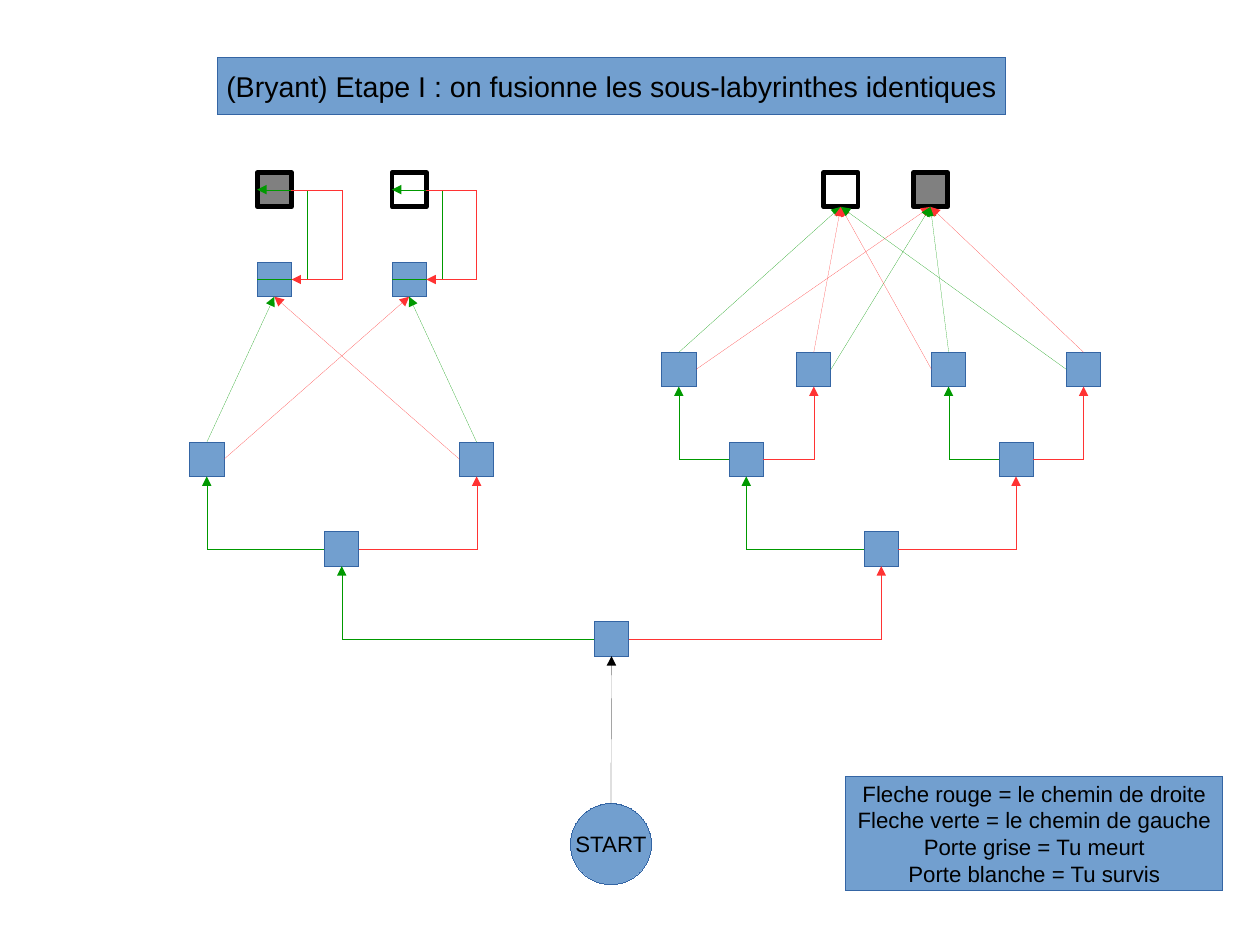
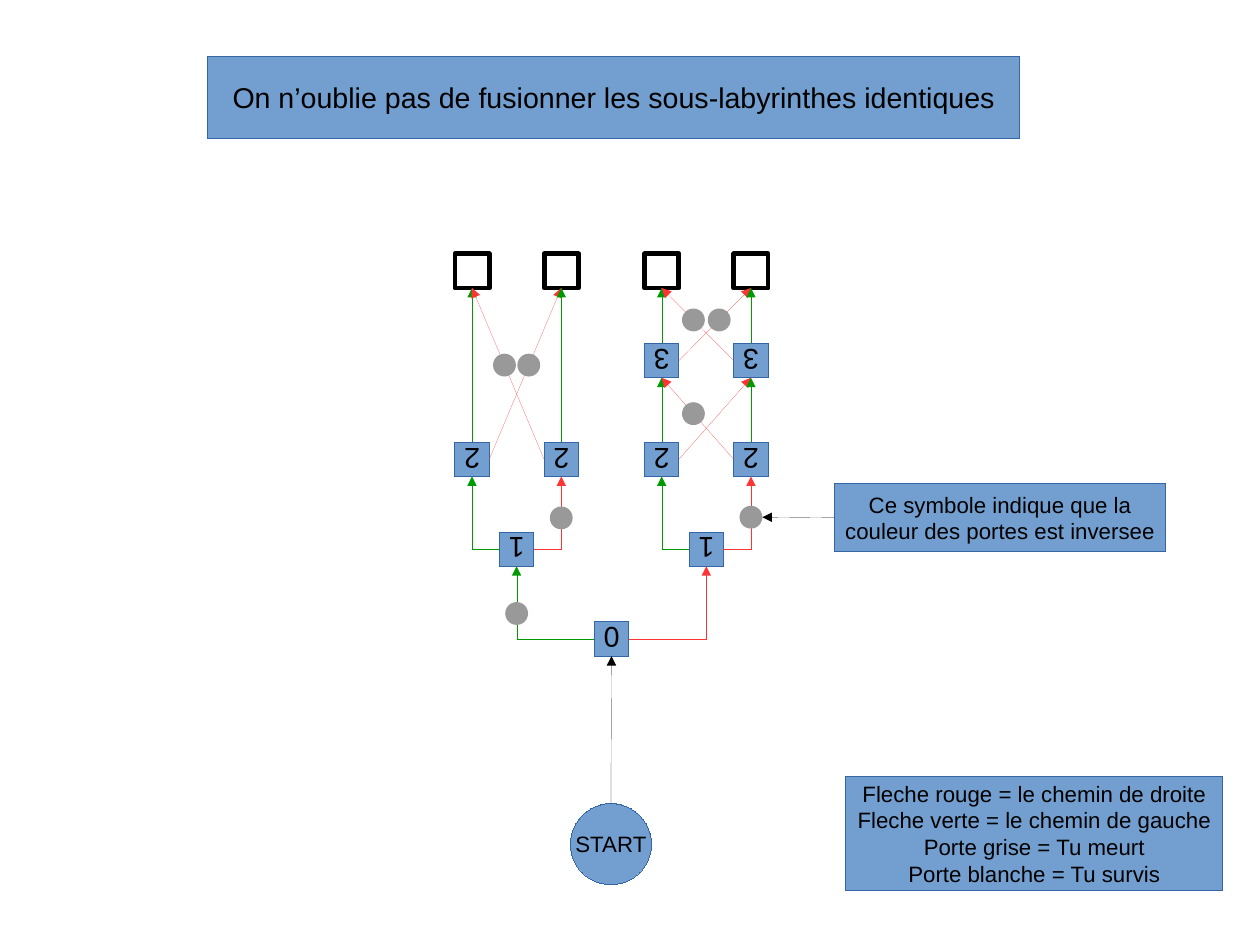
from dataclasses import dataclass

from lxml import etree
from pptx import Presentation
from pptx import util as u
from pptx.dml.color import RGBColor
from pptx.enum import shapes, text
from pptx.oxml import ns


@dataclass(frozen=True)
class Theme:
    blue: str = "729FCF"
    outline: str = "3465A4"
    black: str = "000000"
    white: str = "FFFFFF"
    grey: str = "808080"
    marker: str = "999999"
    green: str = "009900"
    red: str = "FF3333"
    font: str = "Arial"
    title_size: int = 18
    body_size: int = 14
    hairline: int = 0
    door_line: int = 3
    cell: float = 0.3
    dot: float = 0.2


@dataclass(frozen=True)
class Box:
    left: float
    top: float
    width: float
    height: float

    @property
    def center_x(self):
        return self.left + self.width / 2

    @property
    def center_y(self):
        return self.top + self.height / 2

    @property
    def right(self):
        return self.left + self.width

    @property
    def bottom(self):
        return self.top + self.height

    def side(self, name):
        return {"top": (self.center_x, self.top),
                "bottom": (self.center_x, self.bottom),
                "left": (self.left, self.center_y),
                "right": (self.right, self.center_y)}[name]

    def lengths(self):
        return [u.Inches(v) for v in (self.left, self.top, self.width, self.height)]


THEME = Theme()
RECTANGLE = shapes.MSO_SHAPE.RECTANGLE
OVAL = shapes.MSO_SHAPE.OVAL

FRAME_FORMAT = {
    "word_wrap": False,
    "vertical_anchor": text.MSO_ANCHOR.MIDDLE,
    "margin_left": u.Inches(0.1),
    "margin_right": u.Inches(0.1),
    "margin_top": u.Inches(0.05),
    "margin_bottom": u.Inches(0.05),
}

LEGEND = ("Fleche rouge = le chemin de droite", "Fleche verte = le chemin de gauche",
          "Porte grise = Tu meurt", "Porte blanche = Tu survis")


def assign(target, values):
    for name, value in values.items():
        setattr(target, name, value)


# Basic parts
def set_line(shape, color, width):
    shape.line.color.rgb = RGBColor.from_string(color)
    line = shape._element.spPr.find(ns.qn("a:ln"))
    # A zero width must be written out, or the theme's width applies
    line.set("w", str(int(u.Pt(width))))
    return line


def add_block(slide, box, lines=(), size=THEME.body_size, kind=RECTANGLE,
              fill=THEME.blue, outline=THEME.outline, line_width=THEME.hairline, rotation=0):
    shape = slide.shapes.add_shape(kind, *box.lengths())
    shape.shadow.inherit = False
    shape.rotation = rotation
    shape.fill.solid()
    shape.fill.fore_color.rgb = RGBColor.from_string(fill)
    if outline:
        set_line(shape, outline, line_width)
    else:
        shape.line.fill.background()
    if lines:
        frame = shape.text_frame
        assign(frame, FRAME_FORMAT)
        for index, line in enumerate(lines):
            paragraph = frame.add_paragraph() if index else frame.paragraphs[0]
            paragraph.alignment = text.PP_ALIGN.CENTER
            run = paragraph.add_run()
            run.text = line
            assign(run.font, {"name": THEME.font, "size": u.Pt(size)})
            run.font.color.rgb = RGBColor.from_string(THEME.black)


def add_arrow(slide, start, end, color, preset="line", adjust=None):
    points = [u.Inches(value) for value in (*start, *end)]
    if adjust is not None:
        points[0 if adjust < 0 else 2] += LOOP_WIDTH
    connector = slide.shapes.add_connector(shapes.MSO_CONNECTOR.STRAIGHT, *points)
    line = set_line(connector, color, THEME.hairline)
    etree.SubElement(line, ns.qn("a:tailEnd"), type="triangle")
    properties = connector._element.spPr
    geometry = properties.find(ns.qn("a:prstGeom"))
    geometry.set("prst", preset)
    if adjust is not None:
        guides = geometry.find(ns.qn("a:avLst"))
        if guides is None:
            guides = etree.SubElement(geometry, ns.qn("a:avLst"))
        etree.SubElement(guides, ns.qn("a:gd"), name="adj1", fmla=f"val {adjust}")
    etree.SubElement(properties, ns.qn("a:effectLst"))


# A loop is a nearly zero-wide elbow that bulges to the right
LOOP_WIDTH = u.Emu(360)
LOOP_ADJUST = round(u.Inches(0.22) / LOOP_WIDTH * 100000)


def add_loops(slide, cell, door):
    add_arrow(slide, cell.side("left"), door.side("left"), THEME.green,
              "bentConnector3", -LOOP_ADJUST)
    add_arrow(slide, door.side("right"), cell.side("right"), THEME.red,
              "bentConnector3", LOOP_ADJUST)


# Maze: cells on a grid centred on the root, which is at the bottom of the box
def add_cells(slide, box, columns, levels, cells, doors):
    size = THEME.cell
    column = (box.width - size) / 2 / columns
    level = (box.height - size) / levels

    def place(x, y):
        return Box(box.center_x + x * column - size / 2,
                   box.bottom - size - y * level, size, size)

    places = {}
    for name, (x, y, label) in cells.items():
        places[name] = place(x, y)
        add_block(slide, places[name], label, THEME.title_size, rotation=180)
    for name, (x, y, fill) in doors.items():
        places[name] = place(x, y)
        add_block(slide, places[name], fill=fill, outline=THEME.black,
                  line_width=THEME.door_line, rotation=180)
    return places


def add_branches(slide, places, branches):
    for parent, left, right in branches:
        for side, child, color in (("left", left, THEME.green), ("right", right, THEME.red)):
            add_arrow(slide, places[parent].side(side), places[child].side("bottom"),
                      color, "bentConnector2")


def add_paths(slide, places, paths):
    for source, side, target, color in paths:
        add_arrow(slide, places[source].side(side), places[target].side("bottom"), color)


def add_inverter(slide, start, end, fraction, elbow):
    x = end[0] if elbow else start[0] + (end[0] - start[0]) * fraction
    y = start[1] + (end[1] - start[1]) * fraction
    dot = Box(x - THEME.dot / 2, y - THEME.dot / 2, THEME.dot, THEME.dot)
    add_block(slide, dot, kind=OVAL, fill=THEME.marker, outline=None)
    return dot


# Parts shared by both slides
def add_frame(slide, title_box, title, start_box, legend_box, root):
    add_block(slide, title_box, [title], THEME.title_size)
    add_block(slide, start_box, ["START"], kind=OVAL)
    add_arrow(slide, start_box.side("top"), root.side("bottom"), THEME.black)
    add_block(slide, legend_box, LEGEND)


def build_merge_slide(slide, box):
    cells = {"root": (0, 0, ()), "west": (-4, 1, ()), "east": (4, 1, ())}
    cells.update({f"w{i}": (x, 2, ()) for i, x in enumerate((-6, -2))})
    cells.update({f"e{i}": (x, 2, ()) for i, x in enumerate((2, 6))})
    cells.update({f"leaf{i}": (x, 3, ()) for i, x in enumerate((1, 3, 5, 7))})
    cells.update({f"top{i}": (x, 4, ()) for i, x in enumerate((-5, -3))})
    doors = {"west grey": (-5, 5, THEME.grey), "west white": (-3, 5, THEME.white),
             "white": (3.4, 5, THEME.white), "grey": (4.73, 5, THEME.grey)}
    places = add_cells(slide, box, 7, 5, cells, doors)
    add_branches(slide, places, [
        ("root", "west", "east"), ("west", "w0", "w1"), ("east", "e0", "e1"),
        ("e0", "leaf0", "leaf1"), ("e1", "leaf2", "leaf3")])
    add_loops(slide, places["top0"], places["west grey"])
    add_loops(slide, places["top1"], places["west white"])
    add_paths(slide, places, [
        ("leaf0", "top", "white", THEME.green), ("leaf0", "right", "grey", THEME.red),
        ("leaf1", "top", "white", THEME.red), ("leaf1", "right", "grey", THEME.green),
        ("leaf2", "top", "grey", THEME.green), ("leaf2", "left", "white", THEME.red),
        ("leaf3", "top", "grey", THEME.red), ("leaf3", "left", "white", THEME.green),
        ("w0", "top", "top0", THEME.green), ("w0", "right", "top1", THEME.red),
        ("w1", "top", "top1", THEME.green), ("w1", "left", "top0", THEME.red)])
    return places


def build_inverter_slide(slide, box, note_box):
    columns = (-1, -0.36, 0.36, 1)
    cells = {"root": (0, 0, "0"), "west": (-0.68, 1, "1"), "east": (0.68, 1, "1")}
    cells.update({f"two{i}": (x, 2, "2") for i, x in enumerate(columns)})
    cells.update({f"three{i}": (columns[i], 3.1, "3") for i in (2, 3)})
    doors = {f"door{i}": (x, 4.1, THEME.white) for i, x in enumerate(columns)}
    places = add_cells(slide, box, 1, 4.1, cells, doors)
    add_branches(slide, places, [
        ("root", "west", "east"), ("west", "two0", "two1"), ("east", "two2", "two3")])

    # Each pair of cells leads straight up (green) and across (red)
    for low, high, first in (("two", "door", 0), ("two", "three", 2), ("three", "door", 2)):
        for i, side, other in ((first, "right", first + 1), (first + 1, "left", first)):
            add_paths(slide, places, [
                (f"{low}{i}", "top", f"{high}{i}", THEME.green),
                (f"{low}{i}", side, f"{high}{other}", THEME.red)])

    # Inverters: source, side, target, place along the path, on an elbow or not
    for source, side, target, fraction, elbow in (
            ("two0", "right", "door1", 0.55, False), ("two1", "left", "door0", 0.55, False),
            ("three2", "right", "door3", 0.56, False), ("three3", "left", "door2", 0.56, False),
            ("two3", "left", "three2", 0.56, False), ("root", "left", "west", 0.35, True),
            ("west", "right", "two1", 0.43, True), ("east", "right", "two3", 0.44, True)):
        dot = add_inverter(slide, places[source].side(side),
                           places[target].side("bottom"), fraction, elbow)

    # Note on the last inverter
    add_block(slide, note_box, ("Ce symbole indique que la", "couleur des portes est inversee"))
    add_arrow(slide, note_box.side("left"), dot.side("right"), THEME.black)
    return places


def main():
    presentation = Presentation()
    # The page is exactly 28 by 21 centimetres
    presentation.slide_width = u.Cm(28)
    presentation.slide_height = u.Cm(21)
    blank = presentation.slide_layouts[6]
    start_box = Box(4.99, 7.03, 0.71, 0.71)
    legend_box = Box(7.4, 6.79, 3.3, 1)

    slide = presentation.slides.add_slide(blank)
    places = build_merge_slide(slide, Box(1.07, 1.51, 8.56, 4.23))
    add_frame(slide, Box(1.9, 0.5, 6.9, 0.5),
              "(Bryant) Etape I : on fusionne les sous-labyrinthes identiques",
              start_box, legend_box, places["root"])

    slide = presentation.slides.add_slide(blank)
    places = build_inverter_slide(slide, Box(3.98, 2.22, 2.74, 3.52), Box(7.3, 4.23, 2.9, 0.6))
    add_frame(slide, Box(1.82, 0.49, 7.1, 0.72),
              "On n’oublie pas de fusionner les sous-labyrinthes identiques",
              start_box, legend_box, places["root"])

    presentation.save("out.pptx")


if __name__ == "__main__":
    main()
